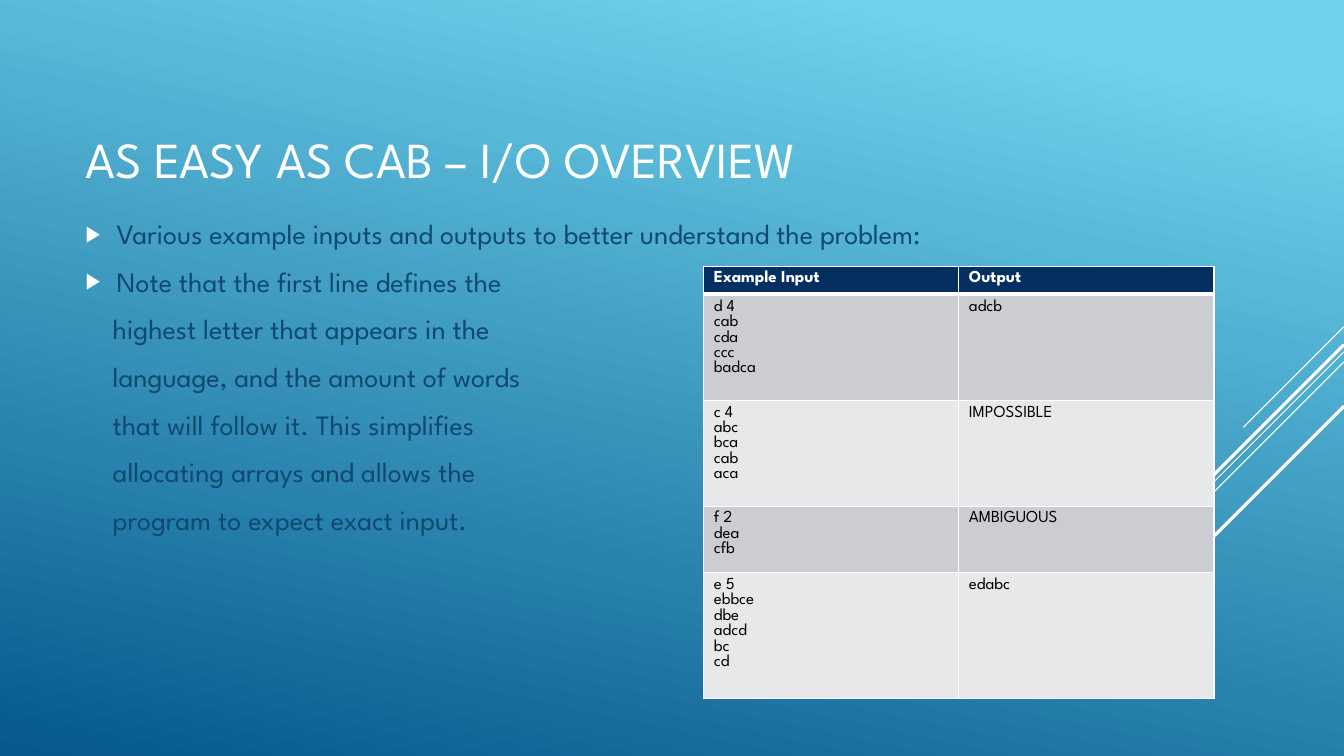
from lxml import etree
from pptx import Presentation
from pptx.dml.color import RGBColor
from pptx.enum.shapes import MSO_CONNECTOR
from pptx.enum.text import MSO_ANCHOR
from pptx.oxml.ns import qn
from pptx.util import Inches, Pt

STRAIGHT = MSO_CONNECTOR.STRAIGHT
TOP, MIDDLE = MSO_ANCHOR.TOP, MSO_ANCHOR.MIDDLE
FONT = "League Spartan"
WHITE, BLACK, NAVY, BODY_BLUE = "FFFFFF", "000000", "052F61", "0F496F"
BANDS = ["CCCDD2", "E7E8EA"]
GRADIENT = [(0.1, "6ED2EB"), (1, "06588E")]

TITLE = "AS EASY AS CAB – I/O OVERVIEW"
BULLETS = [
    "Various example inputs and outputs to better understand the problem:",
    "Note that the first line defines the",
]
CONTINUATION = [
    "highest letter that appears in the",
    "language, and the amount of words",
    "that will follow it. This simplifies",
    "allocating arrays and allows the",
    "program to expect exact input.",
]
EXAMPLES = [
    (["Example Input"], ["Output"]),
    (["d 4", "cab", "cda", "ccc", "badca"], ["adcb"]),
    (["c 4", "abc", "bca", "cab", "aca"], ["IMPOSSIBLE"]),
    (["f 2", "dea", "cfb"], ["AMBIGUOUS"]),
    (["e 5", "ebbce", "dbe", "adcd", "bc", "cd"], ["edabc"]),
]
ROW_HEIGHTS = [0.28, 1.05, 1.05, 0.66, 1.25]
COLUMN_WIDTH = 2.53
SLIDE_WIDTH = 13.33
DIAGONALS = [(3.24, 1, 0.75), (3.49, 3.26, 0.75), (3.59, 2.07, 0.75),
             (3.42, 1.91, 2.25), (4.03, 1.39, 2.25)]


def color(value):
    return RGBColor.from_string(value)


def write(frame, lines, size, text_color, bold=False, anchor=TOP,
          before=0, after=0):
    frame.word_wrap = True
    frame.vertical_anchor = anchor
    for index, line in enumerate(lines):
        paragraph = frame.paragraphs[0] if index == 0 else frame.add_paragraph()
        paragraph.space_before, paragraph.space_after = Pt(before), Pt(after)
        run = paragraph.add_run()
        run.text = line
        run.font.name, run.font.size, run.font.bold = FONT, Pt(size), bold
        run.font.color.rgb = color(text_color)


def indent(paragraph, left, bullet=None):
    properties = paragraph._p.get_or_add_pPr()
    properties.set("marL", str(Inches(left)))
    properties.set("indent", str(-Inches(left) if bullet else 0))
    if bullet:
        bullet_color = etree.SubElement(properties, qn("a:buClr"))
        etree.SubElement(bullet_color, qn("a:srgbClr"), val=WHITE)
        etree.SubElement(properties, qn("a:buSzPct"), val="80000")
        etree.SubElement(properties, qn("a:buFont"), typeface="Arial")
        etree.SubElement(properties, qn("a:buChar"), char=bullet)


def set_borders(cell, bottom):
    properties = cell._tc.get_or_add_tcPr()
    widths = [("L", 1), ("R", 1), ("T", 1), ("B", bottom)]
    for position, (side, width) in enumerate(widths):
        border = etree.Element(qn("a:ln" + side), w=str(Pt(width)))
        fill = etree.SubElement(border, qn("a:solidFill"))
        etree.SubElement(fill, qn("a:srgbClr"), val=WHITE)
        properties.insert(position, border)


presentation = Presentation()
presentation.slide_width, presentation.slide_height = Inches(SLIDE_WIDTH), Inches(7.5)
slide = presentation.slides.add_slide(presentation.slide_layouts[6])

background = slide.background.fill
background.gradient()
background.gradient_angle = 360 - 102
for stop, (position, stop_color) in zip(background.gradient_stops, GRADIENT):
    stop.position = position
    stop.color.rgb = color(stop_color)

for top, reach, width in DIAGONALS:
    diagonal = slide.shapes.add_connector(
        STRAIGHT, Inches(SLIDE_WIDTH), Inches(top),
        Inches(SLIDE_WIDTH - reach), Inches(top + reach))
    diagonal.line.color.rgb = color(WHITE)
    diagonal.line.width = Pt(width)
    etree.SubElement(diagonal._element.spPr, qn("a:effectLst"))

title = slide.shapes.add_textbox(Inches(0.75), Inches(0.75), Inches(9.33), Inches(1.65))
write(title.text_frame, [TITLE], 36, WHITE, anchor=MIDDLE)

body = slide.shapes.add_textbox(Inches(0.75), Inches(2.1), Inches(9.33), Inches(3.95))
write(body.text_frame, BULLETS + CONTINUATION, 20, BODY_BLUE, before=4, after=6)
for index, paragraph in enumerate(body.text_frame.paragraphs):
    if index < len(BULLETS):
        indent(paragraph, 0.31, "▶")
    else:
        indent(paragraph, 0.27)

table = slide.shapes.add_table(
    len(EXAMPLES), 2, Inches(6.98), Inches(2.64),
    Inches(2 * COLUMN_WIDTH), Inches(sum(ROW_HEIGHTS))).table
for column in table.columns:
    column.width = Inches(COLUMN_WIDTH)
for row_index, (example, height) in enumerate(zip(EXAMPLES, ROW_HEIGHTS)):
    header = row_index == 0
    table.rows[row_index].height = Inches(height)
    for column_index, lines in enumerate(example):
        cell = table.cell(row_index, column_index)
        cell.margin_bottom = 0
        cell.fill.solid()
        cell.fill.fore_color.rgb = color(NAVY if header else BANDS[(row_index - 1) % 2])
        write(cell.text_frame, lines, 12, WHITE if header else BLACK, bold=header)
        set_borders(cell, 3 if header else 1)

presentation.save("out.pptx")
